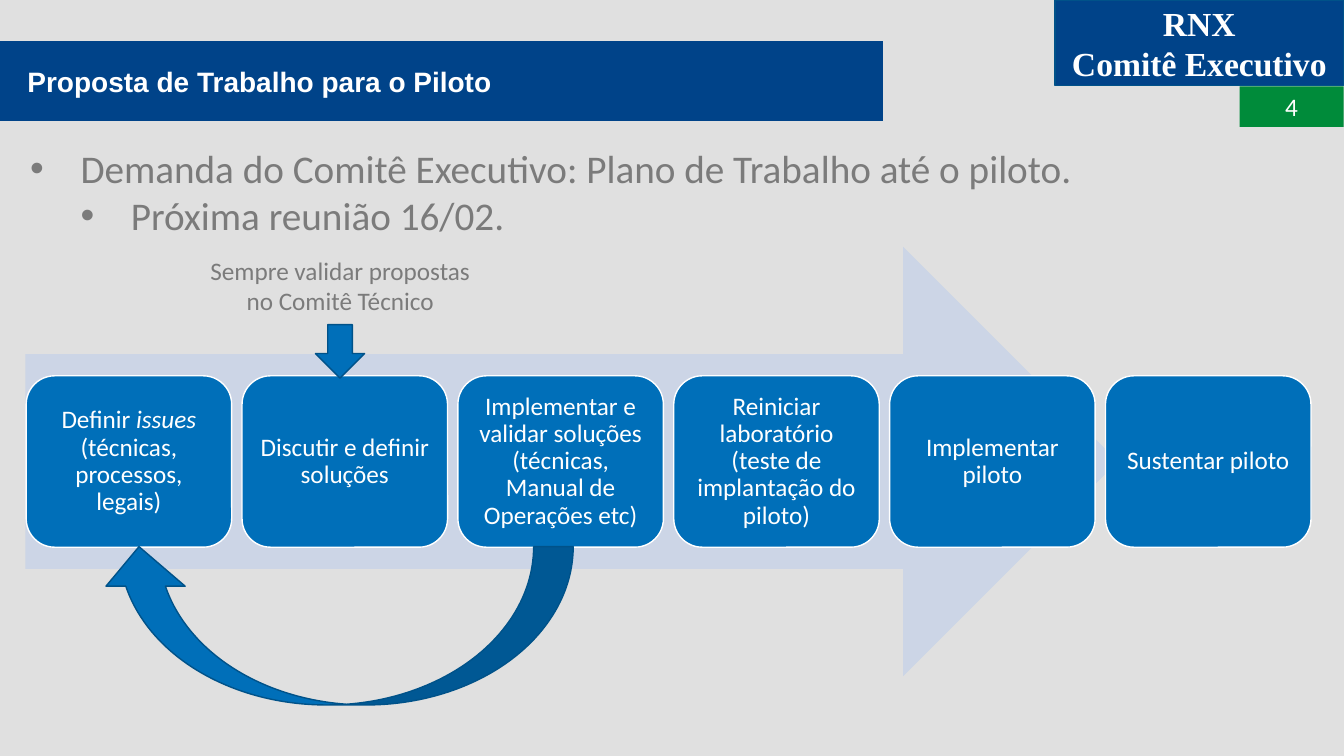
from lxml import etree
from pptx import Presentation
from pptx.dml.color import RGBColor
from pptx.enum.shapes import MSO_SHAPE
from pptx.enum.text import MSO_ANCHOR, PP_ALIGN
from pptx.oxml.ns import qn
from pptx.util import Cm, Pt

RECTANGLE, ROUNDED = MSO_SHAPE.RECTANGLE, MSO_SHAPE.ROUNDED_RECTANGLE
RIGHT_ARROW, DOWN_ARROW = MSO_SHAPE.RIGHT_ARROW, MSO_SHAPE.DOWN_ARROW
CURVED_ARROW = MSO_SHAPE.CURVED_LEFT_ARROW
TOP, MIDDLE = MSO_ANCHOR.TOP, MSO_ANCHOR.MIDDLE
LEFT, CENTER = PP_ALIGN.LEFT, PP_ALIGN.CENTER

NAVY, GREEN, BLUE, EDGE = "004389", "008B3A", "006FB9", "005289"
PALE, GRAY, WHITE, BACKDROP = "CCD5E6", "7B7B7B", "FFFFFF", "E0E0E0"

STAGES = [
    [("Definir ", False), ("issues ", True), ("(técnicas, processos, legais)", False)],
    [("Discutir e definir soluções", False)],
    [("Implementar e validar soluções (técnicas, Manual de Operações etc)", False)],
    [("Reiniciar laboratório (teste de implantação do piloto)", False)],
    [("Implementar piloto", False)],
    [("Sustentar piloto", False)],
]
STAGE_LEFT, STAGE_TOP, STAGE_WIDTH, STAGE_HEIGHT = 0.66, 9.47, 5.18, 4.32
STAGE_GAP = 0.26


def paint(target, color):
    """Give a fill or a line a solid colour."""
    fill = getattr(target, "fill", target)
    fill.solid()
    fill.fore_color.rgb = RGBColor.from_string(color)


def add_block(page, kind, place, color, edge=None):
    """Add a preset shape at left, top, width, height in centimetres."""
    block = page.shapes.add_shape(kind, *map(Cm, place))
    block.shadow.inherit = False
    paint(block, color)
    if edge:
        paint(block.line, edge)
        block.line.width = Pt(1)
    else:
        block.line.fill.background()
    return block


def add_text_box(page, place):
    """Add an empty text box at left, top, width, height in centimetres."""
    return page.shapes.add_textbox(*map(Cm, place))


def write(box, paragraphs, anchor=TOP, align=LEFT, spacing=None, inset=None, **formats):
    """Write paragraphs, each a list of (text, italic) spans, into a box."""
    frame = box.text_frame
    frame.word_wrap = True
    frame.vertical_anchor = anchor
    if inset is not None:
        for side in ("left", "top", "right", "bottom"):
            setattr(frame, f"margin_{side}", Cm(inset))
    color = formats.pop("color", WHITE)
    values = {"name": "Calibri", "size": Pt(18), "bold": False} | formats
    for index, spans in enumerate(paragraphs):
        para = frame.paragraphs[0] if index == 0 else frame.add_paragraph()
        para.alignment = align
        para.line_spacing = spacing
        for text, italic in spans:
            span = para.add_run()
            span.text = text
            for name, value in values.items():
                setattr(span.font, name, value)
            span.font.italic = italic
            span.font.color.rgb = RGBColor.from_string(color)


def add_bullet(para, level):
    """Give a paragraph a hanging bullet, indented by its level."""
    para.level = level
    properties = para._p.get_or_add_pPr()
    properties.set("marL", str(Cm(1.27 * (level + 1))))
    properties.set("indent", str(-Cm(1.27)))
    etree.SubElement(properties, qn("a:buFont"), typeface="Arial")
    etree.SubElement(properties, qn("a:buChar"), char="•")


def add_header(page):
    """Add the committee banner, the page number and the title band."""
    number = add_block(page, RECTANGLE, (31.24, 2.18, 2.62, 1.02), GREEN)
    write(number, [[("4", False)]], MIDDLE, CENTER)
    banner = add_block(page, RECTANGLE, (26.59, 0, 7.27, 2.16), NAVY, EDGE)
    write(banner, [[("RNX", False)], [("Comitê Executivo", False)]], MIDDLE, CENTER,
          name="Times New Roman", size=Pt(24), bold=True)
    add_block(page, RECTANGLE, (0, 1.04, 22.25, 2.01), NAVY)
    title = add_text_box(page, (0.51, 1.52, 12.4, 1.04))
    write(title, [[("Proposta de Trabalho para o Piloto", False)]], MIDDLE,
          inset=0.18, name="Arial", size=Pt(20), bold=True)


def add_demand(page):
    """Add the bulleted demand of the committee."""
    demand = add_text_box(page, (0.51, 3.51, 27.58, 15.04))
    write(demand, [
        [("Demanda do Comitê Executivo: Plano de Trabalho até o piloto.", False)],
        [("Próxima reunião 16/02.", False)],
    ], size=Pt(28), color=GRAY)
    for level, para in enumerate(demand.text_frame.paragraphs):
        add_bullet(para, level)


def add_process(page):
    """Add the row of stages over its wide arrow."""
    add_block(page, RIGHT_ARROW, (0.64, 6.22, 27.53, 10.82), PALE)
    for index, spans in enumerate(STAGES):
        left = STAGE_LEFT + index * (STAGE_WIDTH + STAGE_GAP)
        place = (left, STAGE_TOP, STAGE_WIDTH, STAGE_HEIGHT)
        stage = add_block(page, ROUNDED, place, BLUE, WHITE)
        write(stage, [spans], MIDDLE, CENTER, spacing=0.9, inset=0.18)


def add_validation(page):
    """Add the loop back to the first stage and the validation note."""
    loop = add_block(page, CURVED_ARROW, (6.48, 9.8, 3.99, 11.94), BLUE, EDGE)
    loop.rotation = 90
    add_block(page, DOWN_ARROW, (7.95, 8.18, 1.24, 1.35), BLUE, EDGE)
    note = add_text_box(page, (4.7, 6.3, 7.75, 1.8))
    write(note, [[("Sempre validar propostas no Comitê Técnico", False)]],
          align=CENTER, color=GRAY)


def main():
    """Build the slide and save the deck."""
    deck = Presentation()
    deck.slide_width, deck.slide_height = Cm(33.87), Cm(19.05)
    page = deck.slides.add_slide(deck.slide_layouts[6])
    paint(page.background, BACKDROP)
    add_header(page)
    add_demand(page)
    add_process(page)
    add_validation(page)
    deck.save("out.pptx")


main()
